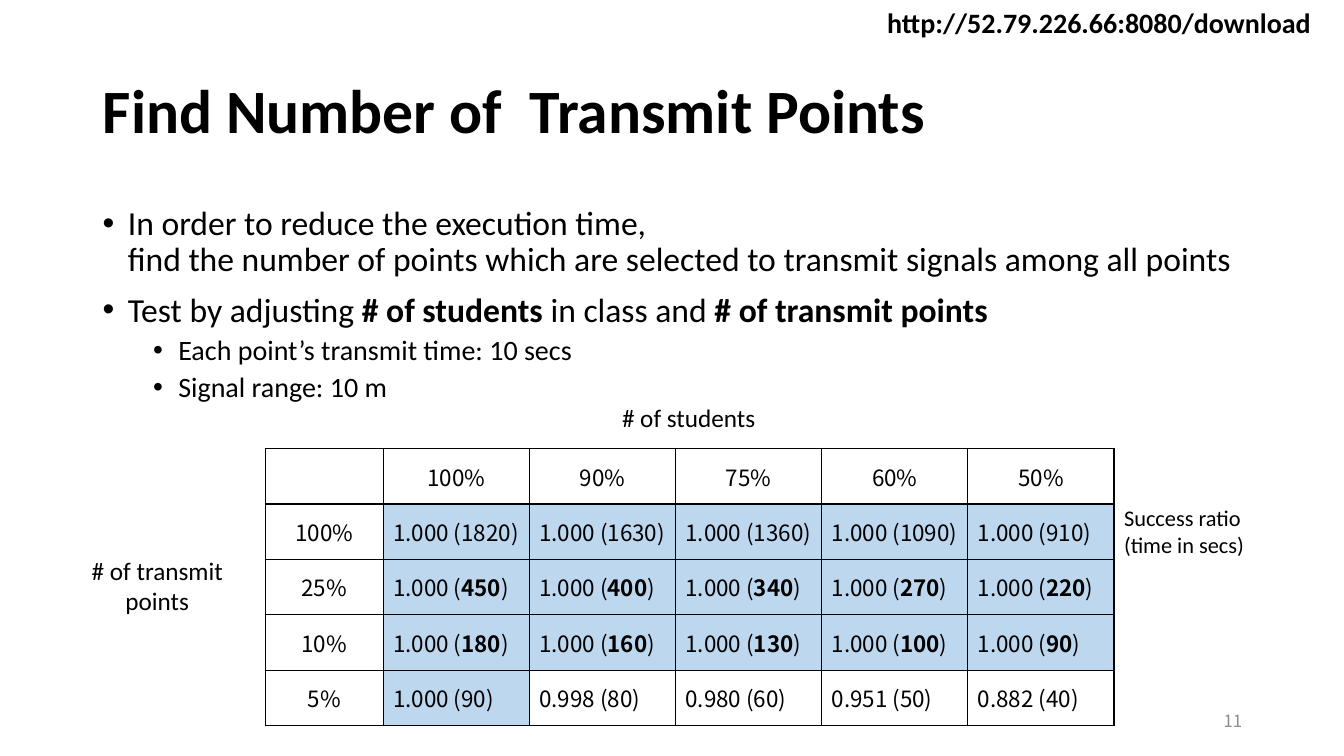
import dataclasses

import pptx
import pptx.dml.color
import pptx.enum.text
import pptx.oxml
import pptx.oxml.ns
import pptx.util
from pptx.util import Inches

ALIGN = pptx.enum.text.PP_ALIGN
ANCHOR = pptx.enum.text.MSO_ANCHOR


@dataclasses.dataclass(frozen=True)
class Theme:
    """Fonts, colours and type sizes of the slide."""

    text_font: str = "Calibri"
    number_font: str = "Noto Sans CJK KR"
    black: str = "000000"
    gray: str = "8C8C8C"
    success: str = "BDD7EE"
    title: int = 44
    body: int = 24
    detail: int = 20
    label: int = 18
    cell: int = 16
    page: int = 12


THEME = Theme()

RATIO_TABLE = [
    ["", "100%", "90%", "75%", "60%", "50%"],
    ["100%", "1.000 (1820)", "1.000 (1630)", "1.000 (1360)", "1.000 (1090)", "1.000 (910)"],
    ["25%", "1.000 (**450**)", "1.000 (**400**)", "1.000 (**340**)", "1.000 (**270**)", "1.000 (**220**)"],
    ["10%", "1.000 (**180**)", "1.000 (**160**)", "1.000 (**130**)", "1.000 (**100**)", "1.000 (**90**)"],
    ["5%", "1.000 (90)", "0.998 (80)", "0.980 (60)", "0.951 (50)", "0.882 (40)"],
]

BULLETS = [
    (0, "In order to reduce the execution time,\n"
        "find the number of points which are selected to transmit signals among all points"),
    (0, "Test by adjusting **# of students** in class and **# of transmit points**"),
    (1, "Each point’s transmit time: 10 secs"),
    (1, "Signal range: 10 m"),
]


def write_text(paragraph, text, size, font=THEME.text_font, color=THEME.black,
               bold=False, align=ALIGN.LEFT, spacing=None, before=0):
    """Write text into a paragraph, with ** around its bold parts."""
    paragraph.alignment = align
    paragraph.space_before = pptx.util.Pt(before)
    if spacing:
        paragraph.line_spacing = spacing
    for part_index, part in enumerate(text.split("**")):
        for line_index, line in enumerate(part.split("\n")):
            if line_index:
                paragraph.add_line_break()
            if line:
                run = paragraph.add_run()
                run.text = line
                run.font.name = font
                run.font.size = pptx.util.Pt(size)
                run.font.bold = bold or part_index % 2 == 1
                run.font.color.rgb = pptx.dml.color.RGBColor.from_string(color)


def set_indent(paragraph, left, first=0, bullet=None):
    """Indent a paragraph and give it a bullet if one is named."""
    properties = paragraph._p.get_or_add_pPr()
    properties.set("marL", str(Inches(left)))
    properties.set("indent", str(Inches(first)))
    if bullet:
        namespace = pptx.oxml.ns.nsdecls("a")
        properties.append(pptx.oxml.parse_xml(f'<a:buFont {namespace} typeface="Arial"/>'))
        properties.append(pptx.oxml.parse_xml(f'<a:buChar {namespace} char="{bullet}"/>'))


def add_text_box(slide, left, top, width, height, anchor=ANCHOR.TOP):
    """Add a wrapping text box and return its text frame."""
    box = slide.shapes.add_textbox(Inches(left), Inches(top), Inches(width), Inches(height))
    frame = box.text_frame
    frame.word_wrap = True
    frame.vertical_anchor = anchor
    return frame


def add_label(slide, text, left, top, width, height, anchor=ANCHOR.TOP, indent=0, **text_format):
    """Add a text box that holds one paragraph."""
    paragraph = add_text_box(slide, left, top, width, height, anchor).paragraphs[0]
    write_text(paragraph, text, **text_format)
    if indent:
        set_indent(paragraph, indent)


def add_title(slide, text):
    """Place and fill the title placeholder."""
    title = slide.shapes.title
    title.left, title.top = Inches(0.92), Inches(0.4)
    title.width, title.height = Inches(11.5), Inches(1.45)
    frame = title.text_frame
    frame.auto_size = pptx.enum.text.MSO_AUTO_SIZE.NONE
    frame.vertical_anchor = ANCHOR.MIDDLE
    write_text(frame.paragraphs[0], text, THEME.title, bold=True, spacing=0.9)


def add_bullets(slide, bullets):
    """Add the two-level bullet list."""
    frame = add_text_box(slide, 0.92, 2, 11.5, 2.18)
    for index, (level, text) in enumerate(bullets):
        paragraph = frame.add_paragraph() if index else frame.paragraphs[0]
        paragraph.level = level
        size, before = (THEME.detail, 5) if level else (THEME.body, 10)
        write_text(paragraph, text, size, spacing=0.9, before=before)
        set_indent(paragraph, 0.25 + 0.5 * level, -0.25, "•")


def set_borders(cell):
    """Draw a thin black line on each side of a cell."""
    properties = cell._tc.get_or_add_tcPr()
    for side in ("lnL", "lnR", "lnT", "lnB"):
        properties.append(pptx.oxml.parse_xml(
            f'<a:{side} {pptx.oxml.ns.nsdecls("a")} w="{pptx.util.Pt(1)}"><a:solidFill>'
            f'<a:srgbClr val="{THEME.black}"/></a:solidFill></a:{side}>'))


def add_ratio_table(slide, rows):
    """Add the table and shade the cells whose success ratio is full."""
    frame = slide.shapes.add_table(len(rows), len(rows[0]), Inches(2.63), Inches(4.45),
                                   Inches(8.42), Inches(2.75))
    table = frame.table
    table.first_row = table.horz_banding = False
    for index, column in enumerate(table.columns):
        column.width = Inches(1.45 if index else 1.17)
    for row_index, row in enumerate(rows):
        table.rows[row_index].height = Inches(0.55)
        for column_index, text in enumerate(row):
            cell = table.cell(row_index, column_index)
            is_header = row_index == 0 or column_index == 0
            cell.vertical_anchor = ANCHOR.MIDDLE
            set_borders(cell)
            if text.startswith("1.000"):
                cell.fill.solid()
                cell.fill.fore_color.rgb = pptx.dml.color.RGBColor.from_string(THEME.success)
            else:
                cell.fill.background()
            write_text(cell.text_frame.paragraphs[0], text, THEME.cell, font=THEME.number_font,
                       align=ALIGN.CENTER if is_header else ALIGN.LEFT)


def main():
    """Build the slide and save it."""
    presentation = pptx.Presentation()
    presentation.slide_width, presentation.slide_height = Inches(13.33), Inches(7.5)
    slide = presentation.slides.add_slide(presentation.slide_layouts.get_by_name("Title Only"))
    add_label(slide, "http://52.79.226.66:8080/download", 8.2, 0.01, 5.13, 0.44,
              indent=0.5, size=THEME.detail, bold=True)
    add_title(slide, "Find Number of  Transmit Points")
    add_ratio_table(slide, RATIO_TABLE)
    add_label(slide, "11", 9.42, 6.95, 3, 0.4, anchor=ANCHOR.MIDDLE, size=THEME.page,
              font=THEME.number_font, color=THEME.gray, align=ALIGN.RIGHT)
    add_bullets(slide, BULLETS)
    add_label(slide, "# of students", 5.94, 3.94, 1.78, 0.4, size=THEME.label, align=ALIGN.CENTER)
    add_label(slide, "# of transmit points", 0.67, 5.46, 1.78, 0.71,
              size=THEME.label, align=ALIGN.CENTER)
    add_label(slide, "Success ratio (time in secs)", 11.05, 4.95, 1.62, 0.64, size=THEME.cell)
    presentation.save("out.pptx")


if __name__ == "__main__":
    main()
